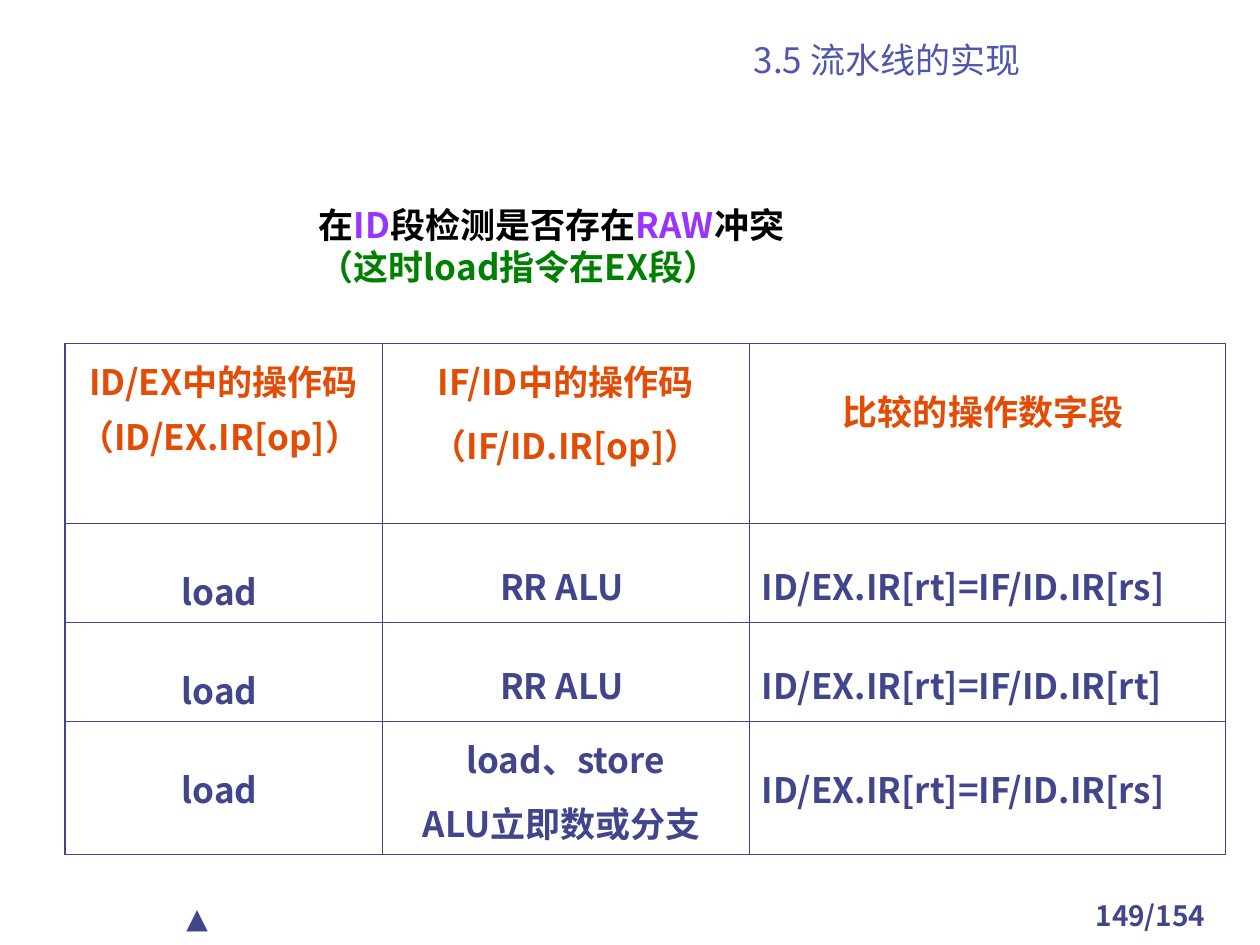
from dataclasses import dataclass
from typing import NamedTuple

from lxml.etree import SubElement
from pptx import Presentation
from pptx.dml.color import RGBColor
from pptx.enum.text import MSO_ANCHOR as Anchor, PP_ALIGN as Align
from pptx.oxml.ns import qn
from pptx.util import Emu, Inches, Pt


@dataclass(frozen=True)
class Theme:
    cjk: str = "Noto Sans CJK SC"
    latin: str = "Cabin"
    body: int = 20
    footer: int = 16
    navy: str = "40458C"
    title: str = "4F56AD"
    orange: str = "E24C05"
    purple: str = "9933FF"
    green: str = "008000"
    black: str = "000000"
    left_line: float = 1.08
    thin_line: float = 0.45


THEME = Theme()


class Box(NamedTuple):
    left: float
    top: float
    width: float
    height: float


class Piece(NamedTuple):
    text: str
    color: str
    bold: bool = True
    size: int = THEME.body
    font: str = THEME.cjk


class Line(NamedTuple):
    pieces: tuple[Piece, ...]
    align: Align = Align.CENTER
    spacing: float = 1.0
    before: float = 0


class CellText(NamedTuple):
    lines: tuple[str, ...]
    spacing: float
    align: Align = Align.CENTER


deck = Presentation()
deck.slide_width, deck.slide_height = Inches(10), Inches(7.5)
slide = deck.slides.add_slide(deck.slide_layouts[6])


def across(percent: float) -> Emu:
    return Emu(round(deck.slide_width * percent / 100))


def down(percent: float) -> Emu:
    return Emu(round(deck.slide_height * percent / 100))


def place(box: Box) -> tuple[Emu, Emu, Emu, Emu]:
    return across(box.left), down(box.top), across(box.width), down(box.height)


def write(frame, lines: tuple[Line, ...]) -> None:
    frame.word_wrap = True
    for index, line in enumerate(lines):
        paragraph = frame.add_paragraph() if index else frame.paragraphs[0]
        paragraph.alignment = line.align
        paragraph.line_spacing = line.spacing
        paragraph.space_before = Pt(line.before)
        for piece in line.pieces:
            run = paragraph.add_run()
            run.text = piece.text
            run.font.size = Pt(piece.size)
            run.font.bold = piece.bold
            run.font.name = piece.font
            run.font.color.rgb = RGBColor.from_string(piece.color)
            SubElement(run.font._element, qn("a:ea"), typeface=piece.font)


def add_text(box: Box, *lines: Line):
    frame = slide.shapes.add_textbox(*place(box)).text_frame
    write(frame, lines)
    return frame


def draw_borders(cell, widths: dict[str, float]) -> None:
    properties = cell._tc.get_or_add_tcPr()
    for position, (side, width) in enumerate(widths.items()):
        border = SubElement(properties, qn(f"a:ln{side}"), w=str(Pt(width)))
        fill = SubElement(border, qn("a:solidFill"))
        SubElement(fill, qn("a:srgbClr"), val=THEME.navy)
        properties.insert(position, border)


def add_comparison(left: float, top: float, columns: tuple[float, ...],
                   rows: tuple[float, ...],
                   content: tuple[tuple[CellText, ...], ...]) -> None:
    box = Box(left, top, sum(columns), sum(rows))
    table = slide.shapes.add_table(len(rows), len(columns), *place(box)).table
    table.first_row = table.horz_banding = False
    for column, width in zip(table.columns, columns):
        column.width = across(width)
    for row, height in zip(table.rows, rows):
        row.height = down(height)
    for r, texts in enumerate(content):
        for c, text in enumerate(texts):
            cell = table.cell(r, c)
            cell.fill.background()
            color = THEME.navy if r else THEME.orange
            write(cell.text_frame, tuple(
                Line((Piece(words, color),), text.align, text.spacing, 5)
                for words in text.lines))
            widths = dict.fromkeys("LRTB", THEME.thin_line)
            if c == 0:
                widths["L"] = THEME.left_line
            draw_borders(cell, widths)


def load_row(next_operation: CellText, field: str, spacing: float) -> tuple[CellText, ...]:
    comparison = CellText((f"ID/EX.IR[rt]=IF/ID.IR[{field}]",), spacing, Align.LEFT)
    return CellText(("load ",), 1.7), next_operation, comparison


page_number = Piece("149/154", THEME.navy, size=THEME.footer)
add_text(Box(84.2, 94.4, 14.2, 4.4), Line((page_number,)))

back_mark = Piece("▲", THEME.navy, False, THEME.footer, THEME.latin)
add_text(Box(13.8, 94.67, 14.2, 4.93), Line((back_mark,), Align.LEFT, before=10))

section = Piece("3.5 流水线的实现", THEME.title, False)
section_title = add_text(Box(42.5, 3.6, 55.8, 5.6), Line((section,)))
section_title.vertical_anchor = Anchor.BOTTOM

header = (
    CellText(("ID/EX中的操作码 （ID/EX.IR[op]） ",), 1.1),
    CellText(("IF/ID中的操作码", "（IF/ID.IR[op]）"), 1.1),
    CellText(("比较的操作数字段 ",), 1.7),
)
register_alu = CellText(("RR ALU ",), 1.6)
memory_or_branch = CellText(("load、store", "ALU立即数或分支 "), 1.1)
add_comparison(
    left=5.15,
    top=36.3,
    columns=(25.2, 29.1, 37.8),
    rows=(19.05, 10.48, 10.48, 14.07),
    content=(
        header,
        load_row(register_alu, "rs", 1.6),
        load_row(register_alu, "rt", 1.6),
        load_row(memory_or_branch, "rs", 1.7),
    ),
)

detection = (
    Piece("在", THEME.black),
    Piece("ID", THEME.purple),
    Piece("段检测是否存在", THEME.black),
    Piece("RAW", THEME.purple),
    Piece("冲突", THEME.black),
)
timing = (Piece("（这时load指令在EX段）", THEME.green),)
hazard = add_text(
    Box(14.3, 20, 74, 16.93),
    *(Line(pieces, Align.LEFT) for pieces in (detection, timing)))
hazard.margin_left = across(11)
hazard.margin_top = down(1.5)

deck.save("out.pptx")
